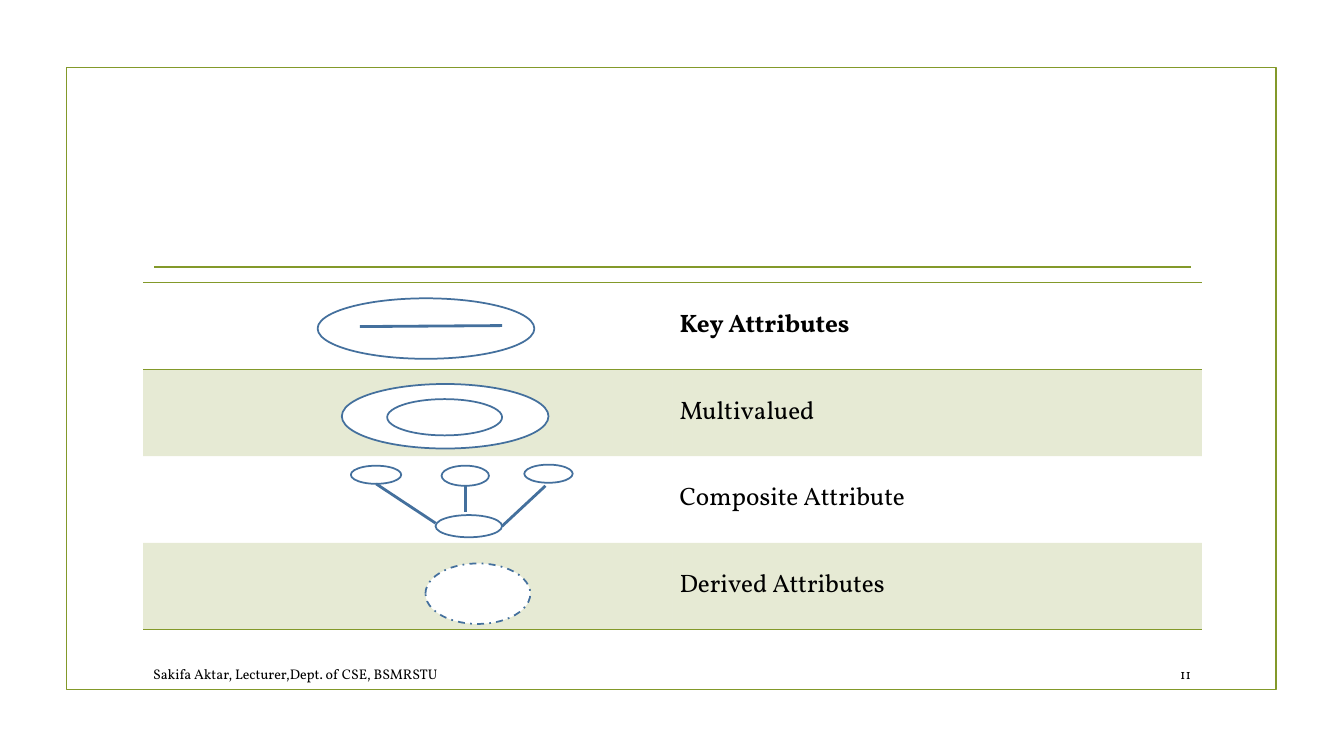
import pptx
import pptx.util
import pptx.dml.color
import pptx.enum.dml
import pptx.enum.shapes
import pptx.enum.text
import pptx.oxml
import pptx.oxml.ns

Inches = pptx.util.Inches
Pt = pptx.util.Pt
RGBColor = pptx.dml.color.RGBColor
Shape = pptx.enum.shapes.MSO_SHAPE
Align = pptx.enum.text.PP_ALIGN
Anchor = pptx.enum.text.MSO_ANCHOR
Dash = pptx.enum.dml.MSO_LINE

OLIVE = RGBColor(0x83, 0x99, 0x2A)
BLUE = RGBColor(0x44, 0x70, 0x9D)
WHITE = RGBColor(0xFF, 0xFF, 0xFF)
BLACK = RGBColor(0x00, 0x00, 0x00)
FONT = "Vollkorn"
NO_STYLE = "{2D5ABB26-0587-4C30-8999-92F81FD0307C}"

LABELS = ["Key Attributes", "Multivalued", "Composite Attribute", "Derived Attributes"]
ELLIPSES = [
    (3.15, 2.96, 2.15, 0.6),
    (3.39, 3.81, 2.05, 0.64),
    (3.84, 3.96, 1.14, 0.36),
    (4.32, 5.11, 0.66, 0.22),
    (3.48, 4.62, 0.5, 0.18),
    (4.38, 4.62, 0.47, 0.2),
    (5.2, 4.61, 0.48, 0.18),
]
DERIVED_ELLIPSE = (4.22, 5.59, 1.04, 0.6)
LINKS = [
    (3.57, 3.24, 4.98, 3.23),
    (3.73, 4.8, 4.32, 5.19),
    (4.62, 4.82, 4.62, 5.08),
    (5.41, 4.82, 4.98, 5.22),
]


def add_outline(page, kind, bounds, color, dash=None):
    shape = page.shapes.add_shape(kind, *map(Inches, bounds))
    shape.shadow.inherit = False
    shape.fill.solid()
    shape.fill.fore_color.rgb = WHITE
    shape.line.color.rgb = color
    shape.line.width = Pt(1.25)
    if dash:
        shape.line.dash_style = dash


def add_line(page, ends, color, width):
    line = page.shapes.add_connector(
        pptx.enum.shapes.MSO_CONNECTOR.STRAIGHT, *map(Inches, ends))
    line.line.color.rgb = color
    line.line.width = Pt(width)
    pptx.oxml.ns.qn("a:effectLst")
    line._element.spPr.append(
        pptx.oxml.parse_xml(f'<a:effectLst {pptx.oxml.ns.nsdecls("a")}/>'))


def style_paragraph(para, size, bold=False, align=Align.LEFT):
    para.alignment = align
    para.font.name = FONT
    para.font.size = Pt(size)
    para.font.bold = bold
    para.font.color.rgb = BLACK


def add_footer(page, text, bounds, align):
    box = page.shapes.add_textbox(*map(Inches, bounds))
    frame = box.text_frame
    frame.word_wrap = True
    frame.vertical_anchor = Anchor.MIDDLE
    frame.text = text
    style_paragraph(frame.paragraphs[0], 10, align=align)


def fill_cell(cell, shaded):
    if not shaded:
        cell.fill.background()
        return
    cell.fill.solid()
    cell.fill.fore_color.rgb = OLIVE
    color = cell._tc.tcPr.find(".//" + pptx.oxml.ns.qn("a:srgbClr"))
    color.append(pptx.oxml.parse_xml(
        f'<a:alpha {pptx.oxml.ns.nsdecls("a")} val="20000"/>'))


def add_borders(cell, sides):
    for index, side in enumerate(sides):
        cell._tc.tcPr.insert(index, pptx.oxml.parse_xml(
            f'<a:ln{side} {pptx.oxml.ns.nsdecls("a")} w="12700"><a:solidFill>'
            f'<a:srgbClr val="{OLIVE}"/></a:solidFill></a:ln{side}>'))


def add_attribute_table(page):
    frame = page.shapes.add_table(
        len(LABELS), 2, Inches(1.42), Inches(2.8), Inches(10.5), Inches(3.45))
    table = frame.table
    table.first_row = False
    table.horz_banding = False
    table._tbl.tblPr.find(pptx.oxml.ns.qn("a:tableStyleId")).text = NO_STYLE
    borders = {0: "TB", len(LABELS) - 1: "B"}
    for row, label in enumerate(LABELS):
        for column, text in enumerate(("", label)):
            cell = table.cell(row, column)
            cell.text = text
            cell.vertical_anchor = Anchor.MIDDLE
            cell.margin_left = cell.margin_right = Inches(0.07)
            cell.margin_top = cell.margin_bottom = Inches(0.07)
            style_paragraph(cell.text_frame.paragraphs[0], 18, bold=row == 0)
            fill_cell(cell, row % 2 == 1)
            add_borders(cell, borders.get(row, ""))


def main():
    deck = pptx.Presentation()
    deck.slide_width = Inches(13.33)
    deck.slide_height = Inches(7.5)
    page = deck.slides.add_slide(deck.slide_layouts[6])
    add_outline(page, Shape.RECTANGLE, (0.66, 0.67, 12, 6.17), OLIVE)
    add_line(page, (1.53, 2.65, 11.81, 2.65), OLIVE, 1.25)
    add_attribute_table(page)
    add_footer(page, "Sakifa Aktar, Lecturer,Dept. of CSE, BSMRSTU",
               (1.42, 6.53, 7.99, 0.31), Align.LEFT)
    add_footer(page, "11", (11.32, 6.53, 0.59, 0.31), Align.RIGHT)
    for bounds in ELLIPSES:
        add_outline(page, Shape.OVAL, bounds, BLUE)
    add_outline(page, Shape.OVAL, DERIVED_ELLIPSE, BLUE, Dash.DASH_DOT)
    for ends in LINKS:
        add_line(page, ends, BLUE, 2)
    deck.save("out.pptx")


if __name__ == "__main__":
    main()
